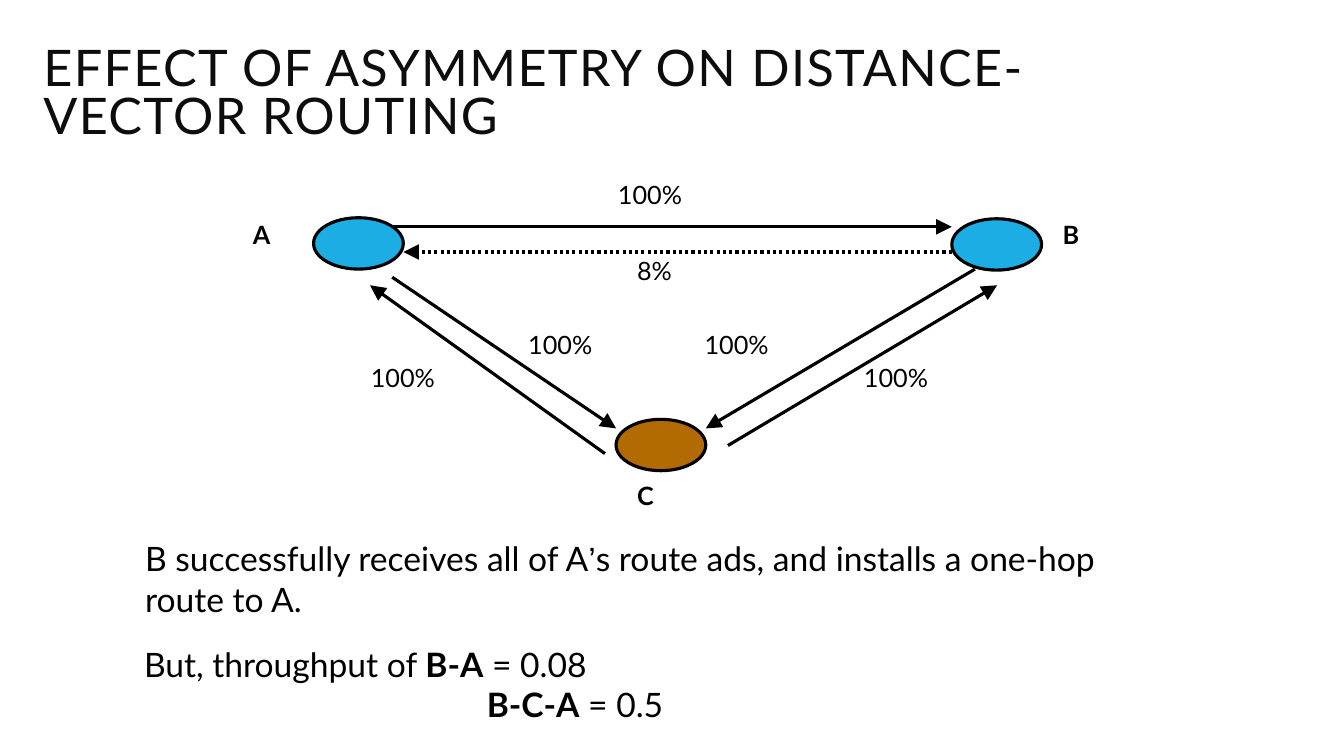
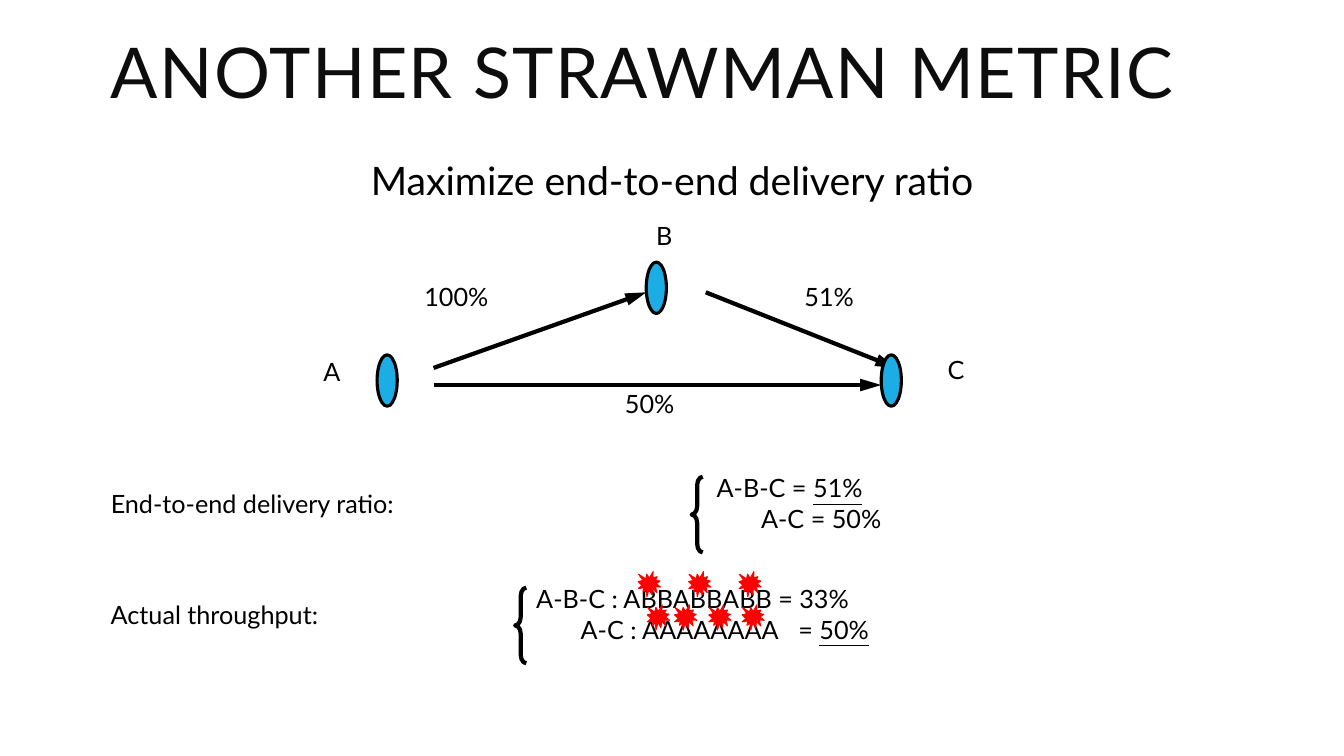
import lxml.etree
import pptx
import pptx.dml.color
import pptx.enum.dml
import pptx.enum.shapes
import pptx.enum.text
import pptx.oxml.ns
import pptx.util

Inches = pptx.util.Inches
Pt = pptx.util.Pt
SHAPE = pptx.enum.shapes.MSO_SHAPE
ALIGN = pptx.enum.text.PP_ALIGN
AUTO = pptx.enum.text.MSO_AUTO_SIZE
TOP = pptx.enum.text.MSO_ANCHOR.TOP
DOTS = pptx.enum.dml.MSO_LINE.ROUND_DOT
FONT = "Lato"
BLACK = "000000"
INK = "0D0D0D"
BLUE = "1CADE4"
BROWN = "B26B02"
RED = "FF0000"


def color(code):
    return pptx.dml.color.RGBColor.from_string(code)


def child(parent, tag, **attrs):
    return lxml.etree.SubElement(parent, pptx.oxml.ns.qn(tag), attrs)


def style(para, size, code=BLACK):
    para.font.name = FONT
    para.font.size = Pt(size)
    para.font.color.rgb = color(code)


def place(shape, left, top, width, height):
    shape.left, shape.top = Inches(left), Inches(top)
    shape.width, shape.height = Inches(width), Inches(height)
    frame = shape.text_frame
    frame.word_wrap = True
    frame.auto_size = AUTO.NONE
    frame.vertical_anchor = TOP
    return frame


def head(slide, text, left, top, width, size):
    frame = place(slide.shapes.title, left, top, width, 1.25)
    frame.text = text
    para = frame.paragraphs[0]
    para.alignment = ALIGN.LEFT
    para.line_spacing = 0.8
    style(para, size, INK)
    props = para._p.get_or_add_pPr()
    props.find(pptx.oxml.ns.qn("a:defRPr")).set("spc", "100")


def lead(slide, text):
    frame = place(slide.placeholders[1], 1, 1.55, 11.33, 1.17)
    frame.text = text
    para = frame.paragraphs[0]
    para.alignment = ALIGN.CENTER
    para.line_spacing = 0.9
    para.space_before = Pt(0)
    props = para._p.get_or_add_pPr()
    props.set("marL", "0")
    props.set("indent", "0")
    child(props, "a:buNone")
    style(para, 28)


def write(slide, lines, left, top, width, height=0.4, size=18, wrap=False,
          stops=()):
    box = slide.shapes.add_textbox(
        Inches(left), Inches(top), Inches(width), Inches(height))
    frame = box.text_frame
    frame.word_wrap = wrap
    frame.auto_size = AUTO.SHAPE_TO_FIT_TEXT
    for index, line in enumerate(lines):
        para = frame.add_paragraph() if index else frame.paragraphs[0]
        if stops:
            tabs = child(para._p.get_or_add_pPr(), "a:tabLst")
            for stop in stops:
                child(tabs, "a:tab", pos=str(Inches(stop)), algn="l")
        style(para, size)
        for text, kind in line:
            run = para.add_run()
            run.text = text
            if kind == "bold":
                run.font.bold = True
            elif kind == "under":
                run.font.underline = True
            elif kind:
                run.font.name = kind


def label(slide, text, left, top, width, kind=""):
    write(slide, [[(text, kind)]], left, top, width)


def draw(slide, kind, left, top, width, height, fill, line=BLACK, weight=2.25):
    shape = slide.shapes.add_shape(
        kind, Inches(left), Inches(top), Inches(width), Inches(height))
    shape.shadow.inherit = False
    if fill:
        shape.fill.solid()
        shape.fill.fore_color.rgb = color(fill)
    else:
        shape.fill.background()
    shape.line.color.rgb = color(line)
    shape.line.width = Pt(weight)
    return shape


def node(slide, left, top, width, fill=BLUE):
    draw(slide, SHAPE.OVAL, left, top, width, 0.51, fill)


def brace(slide, left, top):
    shape = draw(slide, SHAPE.LEFT_BRACE, left, top, 0.11, 0.75, None, weight=3)
    shape.adjustments[0] = 0.75
    shape.adjustments[1] = 0.5


def burst(slide, left, top):
    draw(slide, SHAPE.EXPLOSION1, left, top, 0.22, 0.25, RED, RED, 0.75)


def arrow(slide, start, end, weight=2.25, tip="lg", dash=None):
    kind = pptx.enum.shapes.MSO_CONNECTOR.STRAIGHT
    link = slide.shapes.add_connector(kind, *map(Inches, start + end))
    link.line.color.rgb = color(BLACK)
    link.line.width = Pt(weight)
    if dash:
        link.line.dash_style = dash
    props = link._element.spPr
    child(props.find(pptx.oxml.ns.qn("a:ln")), "a:tailEnd",
          type="triangle", w=tip, len="lg")
    child(props, "a:effectLst")


def effect(deck):
    slide = deck.slides.add_slide(deck.slide_layouts[5])
    head(slide, "EFFECT OF ASYMMETRY ON DISTANCE-VECTOR ROUTING",
         0.33, 0.42, 11.92, 36)

    for left, top, fill in ((6.11, 4.16, BROWN), (3.11, 2.16, BLUE),
                            (9.44, 2.17, BLUE)):
        node(slide, left, top, 0.89, fill)
    for start, end in (((3.89, 2.25), (9.44, 2.25)),
                       ((3.89, 2.75), (6.11, 4.25)),
                       ((9.67, 2.67), (7, 4.25)),
                       ((7.22, 4.42), (9.89, 2.83)),
                       ((6, 4.5), (3.67, 2.83))):
        arrow(slide, start, end)
    arrow(slide, (9.44, 2.5), (4, 2.5), dash=DOTS)

    for left, top in ((6.03, 1.73), (5.14, 3.22), (6.89, 3.22),
                      (3.58, 3.55), (8.47, 3.55)):
        label(slide, "100%", left, top, 0.85)
    label(slide, "8%", 6.22, 2.48, 0.57)
    for name, left, top in (("A", 2.41, 2.13), ("B", 10.44, 2.13),
                            ("C", 6.22, 4.72)):
        label(slide, name, left, top, 0.38, "bold")

    write(slide, [[("B successfully receives all of A", ""), ("’", "Arial"),
                   ("s route ads, and installs a one-hop route to A.", "")]],
          1.34, 5.29, 9.66, 0.91, 24, wrap=True)
    write(slide, [[("But, throughput of ", ""), ("B-A", "bold"),
                   (" = 0.08", "")],
                  [("\t", ""), ("B-C-A", "bold"), (" = 0.5", "")]],
          1.33, 6.34, 5.75, 0.91, 24, stops=(3.4,))


def metric(deck):
    slide = deck.slides.add_slide(deck.slide_layouts[1])
    head(slide, "ANOTHER STRAWMAN METRIC", 1, 0.39, 11.33, 50)
    lead(slide, "Maximize end-to-end delivery ratio")

    for start, end in (((4.3, 3.65), (6.41, 2.9)),
                       ((7, 2.9), (8.89, 3.65)),
                       ((4.3, 3.82), (8.74, 3.82))):
        arrow(slide, start, end, 3, "med")
    for left, top in ((3.74, 3.52), (6.41, 2.6), (8.74, 3.52)):
        node(slide, left, top, 0.2)
    for text, left, top, width in (("100%", 4.11, 2.74, 0.85),
                                   ("51%", 7.88, 2.74, 0.71),
                                   ("50%", 6.1, 3.8, 0.71),
                                   ("A", 3.11, 3.49, 0.38),
                                   ("B", 6.41, 2.14, 0.37),
                                   ("C", 9.3, 3.47, 0.38),
                                   ("End-to-end delivery ratio:", 1, 4.8, 3.02),
                                   ("Actual throughput:", 1, 5.9, 2.26)):
        label(slide, text, left, top, width)

    brace(slide, 6.86, 4.73)
    write(slide, [[("A-B-C = ", ""), ("51%", "under")],
                  [("\tA-C = 50%", "")]],
          7.01, 4.64, 1.92, 0.71, stops=(0.44,))
    brace(slide, 5.11, 5.83)
    write(slide, [[("A-B-C : ABBABBABB = 33%", "")],
                  [("\tA-C : AAAAAAAA\t= ", ""), ("50%", "under")]],
          5.22, 5.74, 3.59, 0.71, stops=(0.44, 2.6))
    for top, lefts in ((5.67, (6.33, 6.83, 7.33)),
                       (6, (6.42, 6.69, 7.03, 7.36))):
        for left in lefts:
            burst(slide, left, top)


def main():
    deck = pptx.Presentation()
    deck.slide_width = Inches(13.33)
    deck.slide_height = Inches(7.5)
    effect(deck)
    metric(deck)
    deck.save("out.pptx")


if __name__ == "__main__":
    main()
